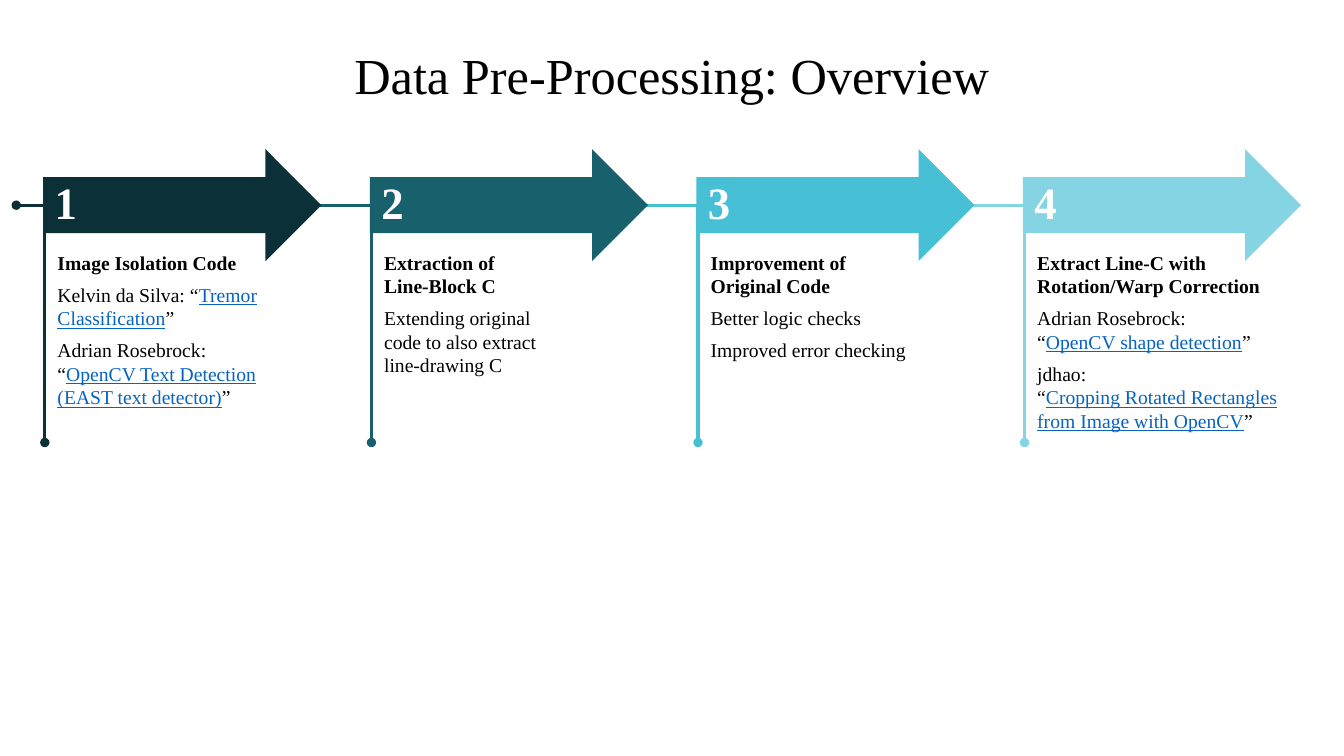
import pptx
import pptx.dml.color
import pptx.enum.shapes
import pptx.enum.text
import pptx.oxml
import pptx.util
from pptx.util import Cm, Pt
from lxml import etree

TITLE = "Data Pre-Processing: Overview"
FONT = "Times New Roman"
BLACK, WHITE, LINK = "000000", "FFFFFF", "0563C1"

STEPS = [
    {"color": "0C3037", "rail": (0.41, 6.78), "text_width": 5.08,
     "heading": "Image Isolation Code",
     "details": [("Kelvin da Silva: “", "Tremor Classification", "”"),
                 ("Adrian Rosebrock: “", "OpenCV Text Detection (EAST text detector)", "”")]},
    {"color": "19606D", "rail": (3.63, 12.55), "text_width": 6.73,
     "heading": "Extraction of \nLine-Block C",
     "details": [("Extending original \ncode to also extract \nline-drawing C",)]},
    {"color": "47BFD5", "rail": (13.06, 22), "text_width": 5.23,
     "heading": "Improvement of \nOriginal Code",
     "details": [("Better logic checks",), ("Improved error checking",)]},
    {"color": "85D4E3", "rail": (21.36, 30.28), "text_width": 6.65,
     "heading": "Extract Line-C with Rotation/Warp Correction",
     "details": [("Adrian Rosebrock: \n“", "OpenCV shape detection", "”"),
                 ("jdhao: \n“", "Cropping Rotated Rectangles from Image with OpenCV", "”")]},
]

FIRST_LEFT, PITCH = 1.09, 8.23
ARROW_TOP, ARROW_WIDTH, ARROW_HEIGHT = 3.76, 7.01, 2.82
RAIL_Y = ARROW_TOP + ARROW_HEIGHT / 2
STEM_BOTTOM = 11.15
TEXT_TOP, TEXT_HEIGHT = 6.32, 4.8


def rgb(value):
    return pptx.dml.color.RGBColor.from_string(value)


def apply_format(target, values):
    for name, value in values.items():
        setattr(target, name, value)


def add_run(paragraph, text, size, color, **values):
    for index, part in enumerate(text.split("\n")):
        if index:
            paragraph.add_line_break()
        run = paragraph.add_run()
        run.text = part
        apply_format(run.font, {"name": FONT, "size": Pt(size), **values})
        run.font.color.rgb = rgb(color)


def add_line(shapes, start, end, color, ovals):
    connector = shapes.add_connector(
        pptx.enum.shapes.MSO_CONNECTOR.STRAIGHT, *map(Cm, start + end))
    connector.line.width = Pt(2.25)
    connector.line.color.rgb = rgb(color)
    line = connector.line._get_or_add_ln()
    for end_name in ovals:
        etree.SubElement(line, pptx.oxml.ns.qn(f"a:{end_name}"), type="oval")
    etree.SubElement(connector._element.spPr, pptx.oxml.ns.qn("a:effectLst"))


def add_arrow(shapes, left, color):
    arrow = shapes.add_shape(
        pptx.enum.shapes.MSO_SHAPE.RIGHT_ARROW,
        Cm(left), Cm(ARROW_TOP), Cm(ARROW_WIDTH), Cm(ARROW_HEIGHT))
    arrow.shadow.inherit = False
    arrow.fill.solid()
    arrow.fill.fore_color.rgb = rgb(color)
    arrow.line.fill.background()


def add_description(shapes, left, step):
    box = shapes.add_textbox(
        Cm(left), Cm(TEXT_TOP), Cm(step["text_width"]), Cm(TEXT_HEIGHT))
    frame = box.text_frame
    apply_format(frame, {"word_wrap": True, "margin_left": 0, "margin_right": 0,
                         "margin_top": 0, "margin_bottom": 0})
    add_run(frame.paragraphs[0], step["heading"], 14, BLACK, bold=True)
    for detail in step["details"]:
        paragraph = frame.add_paragraph()
        paragraph.space_before = Pt(6)
        for index, text in enumerate(detail):
            is_link = index == 1
            add_run(paragraph, text, 14, LINK if is_link else BLACK, underline=is_link)


def add_number(shapes, left, number):
    box = shapes.add_textbox(Cm(left), Cm(4.29), Cm(1.12), Cm(1.63))
    box.text_frame.word_wrap = True
    add_run(box.text_frame.paragraphs[0], str(number), 32, WHITE, bold=True)


def main():
    presentation = pptx.Presentation()
    apply_format(presentation, {"slide_width": Cm(33.87), "slide_height": Cm(19.05)})
    slide = presentation.slides.add_slide(presentation.slide_layouts[5])
    shapes = slide.shapes

    title = shapes.title
    apply_format(title, {"left": 0, "top": Cm(0.99),
                         "width": presentation.slide_width, "height": Cm(1.8)})
    apply_format(title.text_frame, {
        "word_wrap": True, "vertical_anchor": pptx.enum.text.MSO_ANCHOR.TOP})
    heading = title.text_frame.paragraphs[0]
    heading.alignment = pptx.enum.text.PP_ALIGN.CENTER
    add_run(heading, TITLE, 36, BLACK)

    for step in STEPS:
        start, end = step["rail"]
        add_line(shapes, (start, RAIL_Y), (end, RAIL_Y), step["color"],
                 ("headEnd", "tailEnd"))

    for index, step in enumerate(STEPS):
        left = FIRST_LEFT + index * PITCH
        stem = left + 0.04
        add_arrow(shapes, left, step["color"])
        add_description(shapes, left + 0.36, step)
        add_line(shapes, (stem, RAIL_Y), (stem, STEM_BOTTOM), step["color"], ("tailEnd",))
        add_number(shapes, stem, index + 1)

    presentation.save("out.pptx")


if __name__ == "__main__":
    main()
